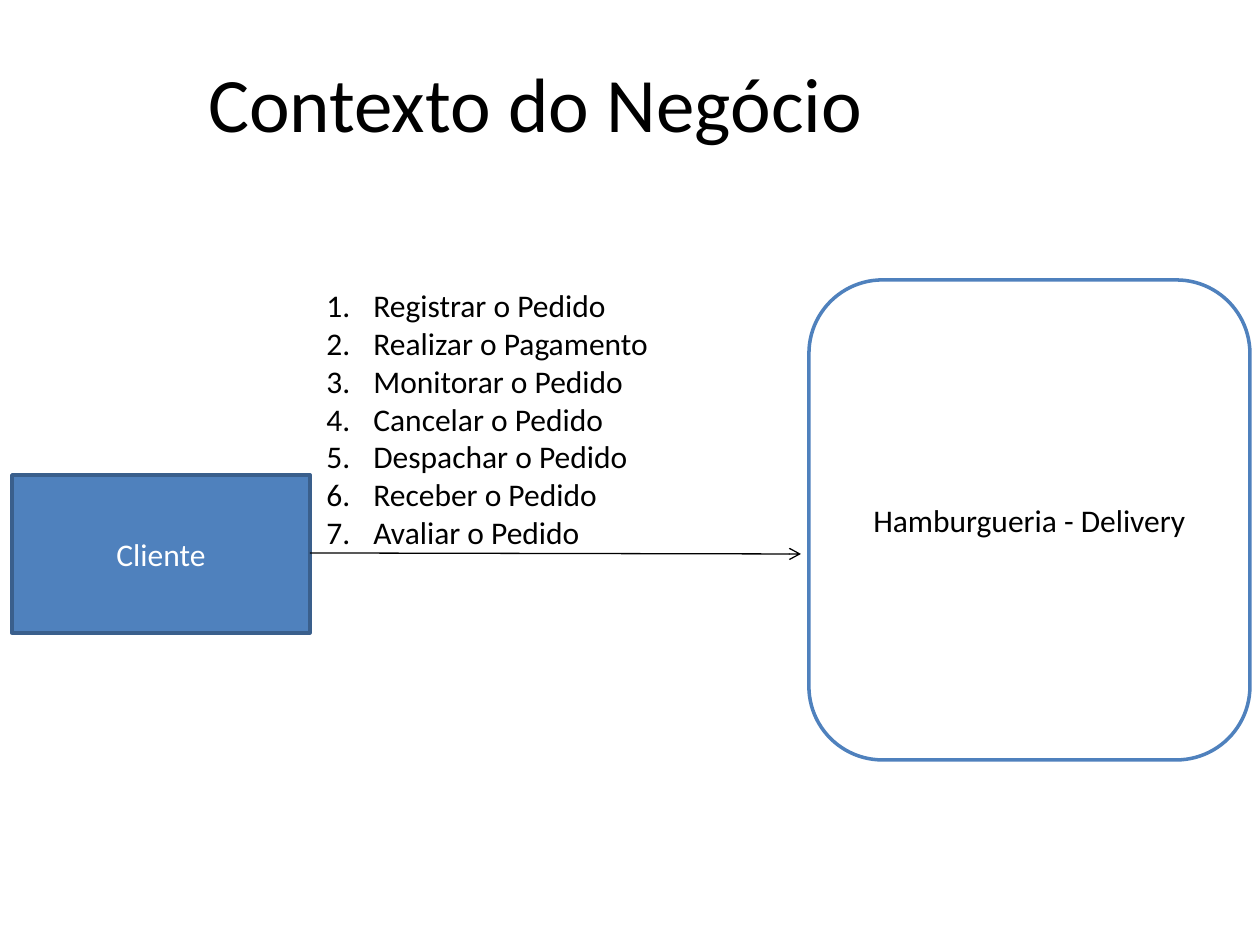
from dataclasses import dataclass

from lxml.etree import SubElement
from pptx import Presentation
from pptx.dml.color import RGBColor
from pptx.enum.shapes import MSO_CONNECTOR, MSO_SHAPE
from pptx.enum.text import MSO_ANCHOR, MSO_AUTO_SIZE, PP_ALIGN
from pptx.oxml.ns import qn
from pptx.util import Emu, Pt


@dataclass(frozen=True)
class Theme:
    """Colours, font and sizes of the slide."""
    font: str = "Calibri"
    title_size: int = 44
    body_size: int = 18
    black: str = "000000"
    white: str = "FFFFFF"
    blue: str = "4F81BD"
    dark_blue: str = "3A5F8C"
    box_line: float = 2
    arrow_line: float = 0.75


@dataclass(frozen=True)
class Box:
    """A labelled shape; its frame is left, top, width, height."""
    label: str
    preset: MSO_SHAPE
    frame: tuple[int, int, int, int]
    fill: str
    line: str
    text: str


THEME = Theme()
BOXES = (
    Box("Cliente", MSO_SHAPE.RECTANGLE, (12, 475, 298, 158),
        THEME.blue, THEME.dark_blue, THEME.white),
    Box("Hamburgueria - Delivery", MSO_SHAPE.ROUNDED_RECTANGLE, (809, 280, 441, 480),
        THEME.white, THEME.blue, THEME.black),
)
STEPS = ("Registrar o Pedido", "Realizar o Pagamento", "Monitorar o Pedido",
         "Cancelar o Pedido", "Despachar o Pedido", "Receber o Pedido",
         "Avaliar o Pedido")
STEP_INDENT = 47


def pixels(value: int) -> Emu:
    """Turn picture pixels into EMU."""
    return Emu(round(value * 914400 / 126))


def scaled(values: tuple) -> list:
    """Turn several pixel lengths into EMU."""
    return [pixels(value) for value in values]


def style(paragraph, size: int, color: str, alignment=PP_ALIGN.CENTER) -> None:
    """Set the font and alignment of a paragraph."""
    paragraph.alignment = alignment
    paragraph.font.name = THEME.font
    paragraph.font.size = Pt(size)
    paragraph.font.color.rgb = RGBColor.from_string(color)


def add_title(slide, text: str, frame: tuple) -> None:
    """Place and fill the title placeholder."""
    title = slide.shapes.title
    title.left, title.top, title.width, title.height = scaled(frame)
    title.text_frame.text = text
    title.text_frame.vertical_anchor = MSO_ANCHOR.MIDDLE
    style(title.text_frame.paragraphs[0], THEME.title_size, THEME.black)


def add_box(slide, box: Box) -> None:
    """Draw one labelled box."""
    shape = slide.shapes.add_shape(box.preset, *scaled(box.frame))
    shape.shadow.inherit = False
    shape.fill.solid()
    shape.fill.fore_color.rgb = RGBColor.from_string(box.fill)
    shape.line.color.rgb = RGBColor.from_string(box.line)
    shape.line.width = Pt(THEME.box_line)
    shape.text_frame.text = box.label
    shape.text_frame.vertical_anchor = MSO_ANCHOR.MIDDLE
    style(shape.text_frame.paragraphs[0], THEME.body_size, box.text)


def add_arrow(slide, ends: tuple) -> None:
    """Draw a thin line with an open arrowhead at its end."""
    arrow = slide.shapes.add_connector(MSO_CONNECTOR.STRAIGHT, *scaled(ends))
    arrow.line.color.rgb = RGBColor.from_string(THEME.black)
    arrow.line.width = Pt(THEME.arrow_line)
    properties = arrow.element.spPr
    SubElement(properties.find(qn("a:ln")), qn("a:tailEnd"), type="arrow")
    SubElement(properties, qn("a:effectLst"))


def add_steps(slide, steps: tuple, frame: tuple) -> None:
    """Write the numbered list of steps."""
    text_frame = slide.shapes.add_textbox(*scaled(frame)).text_frame
    text_frame.word_wrap = True
    text_frame.auto_size = MSO_AUTO_SIZE.SHAPE_TO_FIT_TEXT
    text_frame.text = "\n".join(steps)
    for paragraph in text_frame.paragraphs:
        style(paragraph, THEME.body_size, THEME.black, PP_ALIGN.LEFT)
        properties = paragraph._p.get_or_add_pPr()
        properties.set("marL", str(pixels(STEP_INDENT)))
        properties.set("indent", str(-pixels(STEP_INDENT)))
        number = SubElement(properties, qn("a:buAutoNum"), type="arabicPeriod")
        properties.insert(0, number)


def main() -> None:
    """Build and save the slide."""
    presentation = Presentation()
    presentation.slide_width, presentation.slide_height = scaled((1260, 945))
    slide = presentation.slides.add_slide(presentation.slide_layouts[5])
    add_title(slide, "Contexto do Negócio", (0, 0, 1071, 203))
    for box in BOXES:
        add_box(slide, box)
    add_arrow(slide, (310, 553, 801, 554))
    add_steps(slide, STEPS, (314, 280, 525, 280))
    presentation.save("out.pptx")


main()
